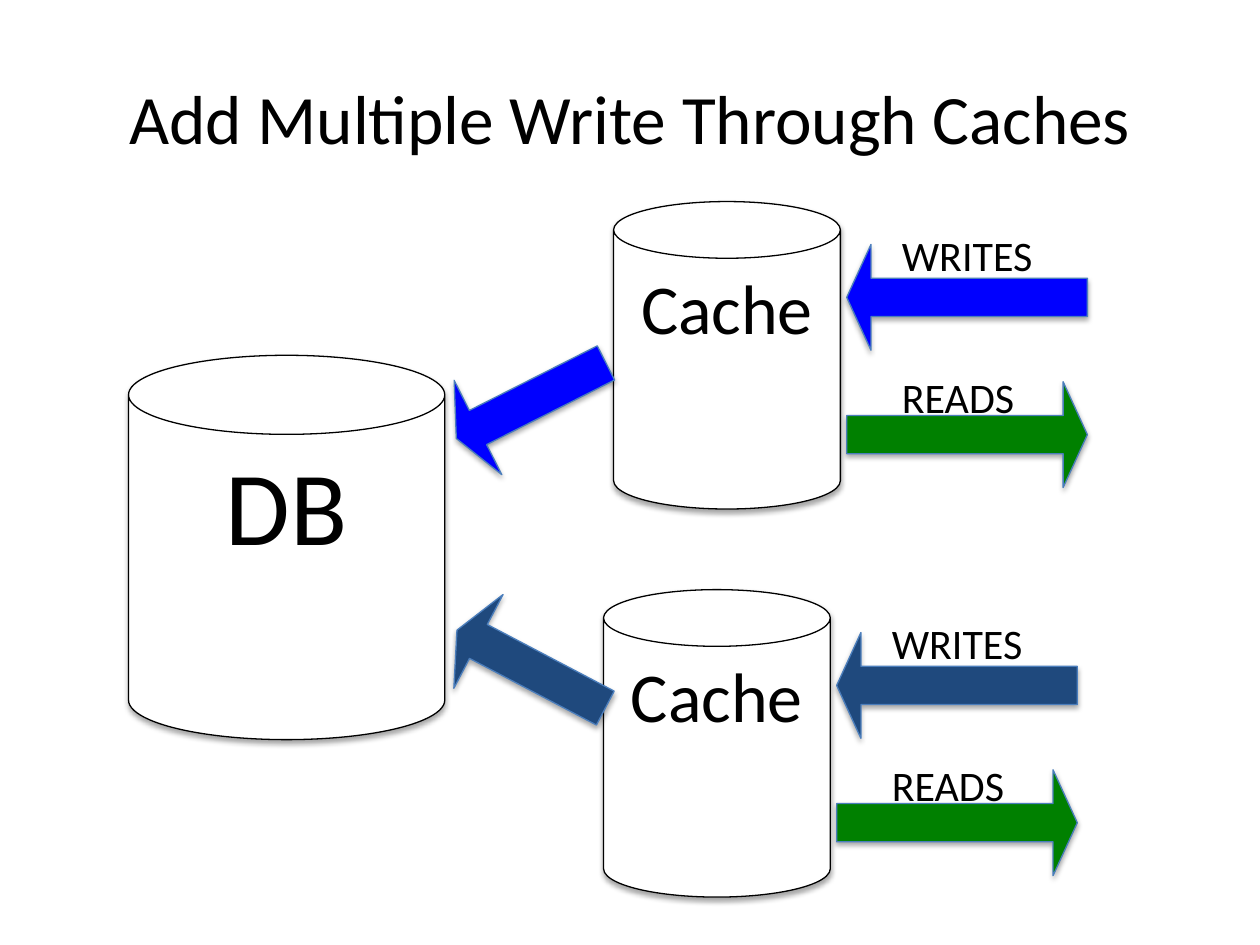
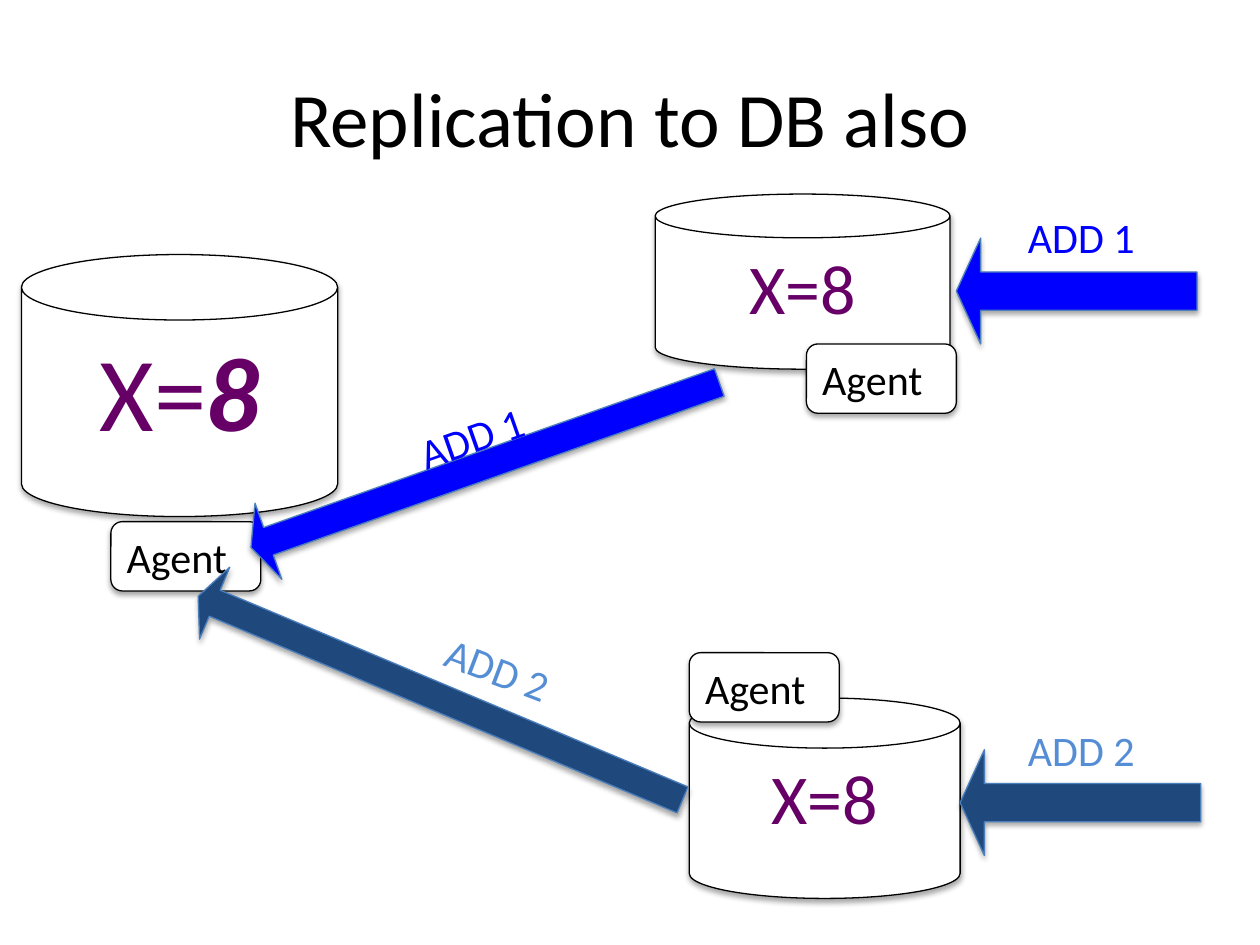
import pptx
import pptx.dml.color
import pptx.enum.shapes
import pptx.enum.text
import pptx.oxml
import pptx.oxml.ns
import pptx.util
from pptx.util import Inches

FONT = "Calibri"
BLACK = "000000"
WHITE = "FFFFFF"
BLUE = "0000FF"
NAVY = "1F497D"
SKY = "558ED5"
GREEN = "008000"
PURPLE = "660066"
ARROW_OUTLINE = "4B7EBC"
ARROW_LENGTH = 1.91
ARROW_HEIGHT = 0.84

SHADOW_XML = (
    f"<a:outerShdw {pptx.oxml.ns.nsdecls('a')} blurRad='39370' dist='22860' "
    "dir='5400000' rotWithShape='0'><a:srgbClr val='000000'>"
    "<a:alpha val='35000'/></a:srgbClr></a:outerShdw>"
)

SHAPE_TYPES = pptx.enum.shapes.MSO_SHAPE
ALIGNMENTS = pptx.enum.text.PP_ALIGN
ANCHORS = pptx.enum.text.MSO_ANCHOR
AUTO_SIZES = pptx.enum.text.MSO_AUTO_SIZE


def color(hex_string):
    return pptx.dml.color.RGBColor.from_string(hex_string)


def format_text(text_frame, size, text_color, alignment, anchor=ANCHORS.TOP):
    text_frame.word_wrap = True
    text_frame.vertical_anchor = anchor
    for paragraph in text_frame.paragraphs:
        paragraph.alignment = alignment
        for run in paragraph.runs:
            run.font.name = FONT
            run.font.size = pptx.util.Pt(size)
            run.font.color.rgb = color(text_color)


def add_titled_slide(presentation, title, size):
    slide = presentation.slides.add_slide(presentation.slide_layouts[5])
    shape = slide.shapes.title
    shape.left, shape.top = Inches(0.5), Inches(0.3)
    shape.width, shape.height = Inches(9), Inches(1.25)
    shape.text_frame.text = title
    shape.text_frame.auto_size = AUTO_SIZES.NONE
    format_text(shape.text_frame, size, BLACK, ALIGNMENTS.CENTER, ANCHORS.MIDDLE)
    return slide


def add_shadowed_shape(slide, shape_type, left, top, width, height, fill, outline):
    shape = slide.shapes.add_shape(
        shape_type, Inches(left), Inches(top), Inches(width), Inches(height)
    )
    shape.fill.solid()
    shape.fill.fore_color.rgb = color(fill)
    shape.line.color.rgb = color(outline)
    shape.line.width = pptx.util.Pt(0.75)
    shape.shadow.inherit = False
    effects = shape._element.spPr.find(pptx.oxml.ns.qn("a:effectLst"))
    effects.append(pptx.oxml.parse_xml(SHADOW_XML))
    return shape


def add_store(slide, text, left, top, width, height, size, text_color=BLACK):
    shape = add_shadowed_shape(
        slide, SHAPE_TYPES.CAN, left, top, width, height, WHITE, BLACK
    )
    shape.text_frame.text = text
    format_text(shape.text_frame, size, text_color, ALIGNMENTS.CENTER)
    return shape


def add_agent(slide, left, top):
    shape = add_shadowed_shape(
        slide, SHAPE_TYPES.ROUNDED_RECTANGLE, left, top, 1.19, 0.55, WHITE, BLACK
    )
    shape.text_frame.text = "Agent"
    format_text(shape.text_frame, 24, BLACK, ALIGNMENTS.LEFT)


def add_arrow(slide, left, top, fill, rotation=0, width=ARROW_LENGTH, height=ARROW_HEIGHT):
    shape = add_shadowed_shape(
        slide, SHAPE_TYPES.RIGHT_ARROW, left, top, width, height, fill, ARROW_OUTLINE
    )
    shape.adjustments[0] = 0.361
    shape.adjustments[1] = 0.229
    shape.rotation = rotation


def add_label(slide, text, left, top, text_color=BLACK, rotation=0):
    shape = slide.shapes.add_textbox(
        Inches(left), Inches(top), Inches(1.34), Inches(0.5)
    )
    shape.text_frame.text = text
    shape.text_frame.auto_size = AUTO_SIZES.SHAPE_TO_FIT_TEXT
    format_text(shape.text_frame, 24, text_color, ALIGNMENTS.LEFT)
    shape.rotation = rotation


def add_cache(slide, left, top, write_color):
    add_store(slide, "Cache", left, top, 1.8, 2.44, 40)
    requests = (("WRITES", 0.34, write_color, 180), ("READS", 1.43, GREEN, 0))
    for text, offset, fill, rotation in requests:
        add_arrow(slide, left + 1.85, top + offset, fill, rotation)
        label_gap = 0.17 if text == "WRITES" else 0.13
        add_label(slide, text, left + 2.19, top + offset - label_gap)


def build_caches_slide(presentation):
    slide = add_titled_slide(presentation, "Add Multiple Write Through Caches", 39.6)
    add_store(slide, "DB", 1.02, 2.82, 2.51, 3.05, 60)
    add_cache(slide, 4.79, 4.68, NAVY)
    add_arrow(slide, 3.55, 4.89, NAVY, 207.7, width=1.33)
    add_cache(slide, 4.87, 1.6, BLUE)
    add_arrow(slide, 3.55, 2.76, BLUE, 153.2, width=1.33)


def build_replication_slide(presentation):
    slide = add_titled_slide(presentation, "Replication to DB also", 44)
    database = add_store(slide, "X=", 0.17, 2.02, 2.51, 2.08, 60, PURPLE)
    paragraph = database.text_frame.paragraphs[0]
    paragraph.add_run().text = "8"
    format_text(database.text_frame, 60, PURPLE, ALIGNMENTS.CENTER)
    paragraph.runs[1].font.bold = True
    paragraph.runs[1].font.italic = True

    add_store(slide, "X=8", 5.47, 5.54, 2.15, 1.59, 40, PURPLE)
    add_store(slide, "X=8", 5.2, 1.54, 2.34, 1.39, 40, PURPLE)
    for left, top in ((6.4, 2.73), (5.47, 5.18), (0.88, 4.14)):
        add_agent(slide, left, top)

    add_arrow(slide, 7.59, 1.89, BLUE, 180)
    add_label(slide, "ADD 1", 8.06, 1.63, BLUE)
    add_arrow(slide, 7.62, 5.95, NAVY, 180)
    add_label(slide, "ADD 2", 8.06, 5.7, SKY)
    add_arrow(slide, 1.88, 3.37, BLUE, 160.6, width=3.94, height=0.64)
    add_label(slide, "ADD 1", 3.21, 3.17, BLUE, 340.6)
    add_arrow(slide, 1.41, 5.23, NAVY, 202.8, width=4.17, height=0.62)
    add_label(slide, "ADD 2", 3.42, 5.11, SKY, 20.8)


def main():
    presentation = pptx.Presentation()
    presentation.slide_width = Inches(10)
    presentation.slide_height = Inches(7.5)
    build_caches_slide(presentation)
    build_replication_slide(presentation)
    presentation.save("out.pptx")


if __name__ == "__main__":
    main()
